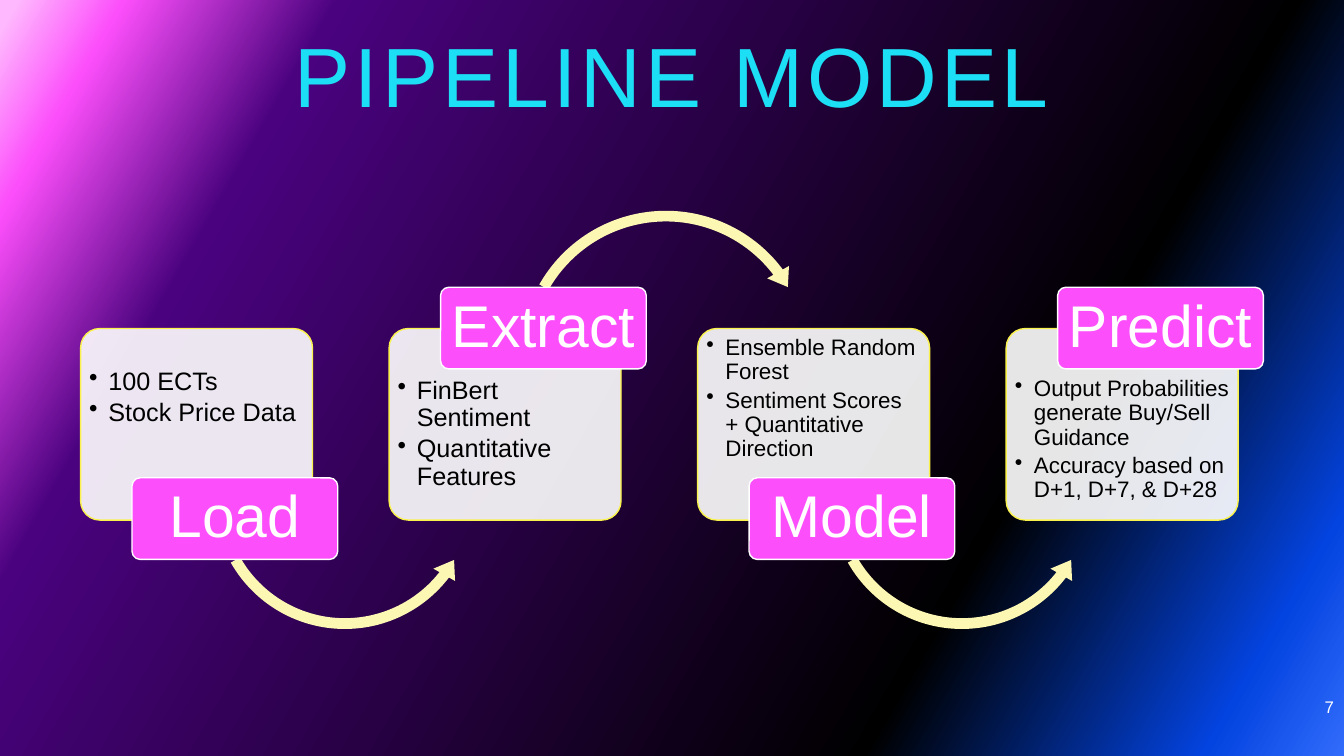
import dataclasses
import typing

import lxml.etree
import pptx
import pptx.dml.color
import pptx.enum.shapes
import pptx.enum.text
import pptx.oxml.ns
import pptx.util

Inches = pptx.util.Inches
Pt = pptx.util.Pt
Kind = pptx.enum.shapes.MSO_SHAPE
Align = pptx.enum.text.PP_ALIGN
Anchor = pptx.enum.text.MSO_ANCHOR
qn = pptx.oxml.ns.qn


@dataclasses.dataclass(frozen=True)
class Theme:
    face: str = "Arial"
    title: str = "1CDFF5"
    white: str = "FFFFFF"
    ink: str = "000000"
    pink: str = "FC4EFB"
    edge: str = "FAF24C"
    arc: str = "FCF7B2"
    stops: tuple = ((0, "316CFC"), (8, "0343DF"), (27, "000000"),
                    (81, "4A027F"), (93, "FC4EFB"), (99, "FEB8FD"))
    head_size: int = 60
    tag_size: int = 42
    page_size: int = 12


@dataclasses.dataclass(frozen=True)
class Stage:
    name: str
    points: tuple
    size: int
    inset: float


@dataclasses.dataclass(frozen=True)
class Arc:
    kind: typing.Any
    left: float
    top: float
    side: float
    adjust: tuple


THEME = Theme()
STAGES = (
    Stage("Load", ("100 ECTs", "Stock Price Data"), 18, 0.34),
    Stage("Extract", ("FinBert Sentiment", "Quantitative Features"), 18, 0.43),
    Stage("Model", ("Ensemble Random Forest",
                    "Sentiment Scores + Quantitative Direction"), 16, 0.02),
    Stage("Predict", ("Output Probabilities generate Buy/Sell Guidance",
                      "Accuracy based on D+1, D+7, & D+28"), 16, 0.43),
)
LOWER = Arc(Kind.LEFT_CIRCULAR_ARROW, 1.25, 3.57, 2.74,
            (0.039, 4.879, 22.634, 90.245, 0.045))
UPPER = Arc(Kind.CIRCULAR_ARROW, 1.23, 2.02, 3.03,
            (0.035, 4.367, 193.878, 125.755, 0.041))
START, STEP = 0.8, 3.06


def tint(code: str) -> pptx.dml.color.RGBColor:
    return pptx.dml.color.RGBColor.from_string(code)


def style(font, size: int, color: str) -> None:
    font.name = THEME.face
    font.size = Pt(size)
    font.color.rgb = tint(color)


def pad(frame, left: float, top: float, right: float, bottom: float) -> None:
    frame.word_wrap = True
    frame.margin_left, frame.margin_top = Inches(left), Inches(top)
    frame.margin_right, frame.margin_bottom = Inches(right), Inches(bottom)


def paint(slide) -> None:
    fill = slide.background.fill
    fill.gradient()
    fill.gradient_angle = 150
    stops = slide._element.xpath("./p:cSld/p:bg//a:gsLst")[0]
    for stop in list(stops):
        stops.remove(stop)
    for place, color in THEME.stops:
        stop = lxml.etree.SubElement(stops, qn("a:gs"), pos=str(place * 1000))
        lxml.etree.SubElement(stop, qn("a:srgbClr"), val=color)


def add_head(slide, text: str) -> None:
    head = slide.shapes.title
    head.left, head.top = Inches(0), Inches(0.29)
    head.width, head.height = Inches(13.33), Inches(0.96)
    frame = head.text_frame
    frame.text = text
    frame.auto_size = pptx.enum.text.MSO_AUTO_SIZE.NONE
    frame.vertical_anchor = Anchor.MIDDLE
    pad(frame, 0, 0.05, 0, 0)
    line = frame.paragraphs[0]
    line.alignment = Align.CENTER
    line.line_spacing = 0.9
    style(line.font, THEME.head_size, THEME.title)
    line._p.r_lst[0].get_or_add_rPr().set("spc", "300")


def add_page(slide, text: str) -> None:
    box = slide.shapes.add_textbox(Inches(10.33), Inches(6.81), Inches(3), Inches(0.4))
    frame = box.text_frame
    frame.word_wrap = True
    frame.vertical_anchor = Anchor.MIDDLE
    frame.text = text
    line = frame.paragraphs[0]
    line.alignment = Align.RIGHT
    style(line.font, THEME.page_size, THEME.white)


def add_form(slide, kind, left: float, top: float, width: float, height: float,
             fill: str, adjust: tuple, edge: str = ""):
    form = slide.shapes.add_shape(kind, Inches(left), Inches(top),
                                  Inches(width), Inches(height))
    form.shadow.inherit = False
    for index, value in enumerate(adjust):
        form.adjustments[index] = value
    form.fill.solid()
    form.fill.fore_color.rgb = tint(fill)
    if edge:
        form.line.color.rgb = tint(edge)
        form.line.width = Pt(1)
    else:
        form.line.fill.background()
    return form


def add_card(slide, stage: Stage, left: float) -> None:
    card = add_form(slide, Kind.ROUNDED_RECTANGLE, left, 3.26, 2.3, 1.9,
                    THEME.white, (0.1,), THEME.edge)
    color = card._element.xpath("./p:spPr/a:solidFill/a:srgbClr")[0]
    lxml.etree.SubElement(color, qn("a:alpha"), val="90000")
    frame = card.text_frame
    frame.vertical_anchor = Anchor.TOP
    pad(frame, 0.03, stage.inset, 0.03, 0.03)
    frame.text = "\n".join(stage.points)
    for line in frame.paragraphs:
        props = line._p.get_or_add_pPr()
        props.set("marL", str(Inches(0.19)))
        props.set("indent", str(-Inches(0.19)))
        lxml.etree.SubElement(props, qn("a:buChar"), char="•")
        line.alignment = Align.LEFT
        line.line_spacing = 0.9
        line.space_after = Pt(3)
        style(line.font, stage.size, THEME.ink)


def add_tag(slide, text: str, left: float, top: float) -> None:
    tag = add_form(slide, Kind.ROUNDED_RECTANGLE, left, top, 2.04, 0.81,
                   THEME.pink, (0.1,), THEME.white)
    frame = tag.text_frame
    frame.vertical_anchor = Anchor.MIDDLE
    pad(frame, 0.08, 0.06, 0.08, 0.06)
    frame.text = text
    line = frame.paragraphs[0]
    line.alignment = Align.CENTER
    line.line_spacing = 0.9
    style(line.font, THEME.tag_size, THEME.white)


def main() -> None:
    deck = pptx.Presentation()
    deck.slide_width, deck.slide_height = Inches(13.33), Inches(7.5)
    slide = deck.slides.add_slide(deck.slide_layouts[5])
    paint(slide)
    add_head(slide, "PIPELINE MODEL")
    add_page(slide, "7")
    for index, stage in enumerate(STAGES):
        left = START + index * STEP
        raised = index % 2 == 1
        add_card(slide, stage, left)
        if index < len(STAGES) - 1:
            arc = UPPER if raised else LOWER
            add_form(slide, arc.kind, left + arc.left, arc.top, arc.side, arc.side,
                     THEME.arc, arc.adjust)
        add_tag(slide, stage.name, left + 0.51, 2.85 if raised else 4.74)
    deck.save("out.pptx")


if __name__ == "__main__":
    main()
